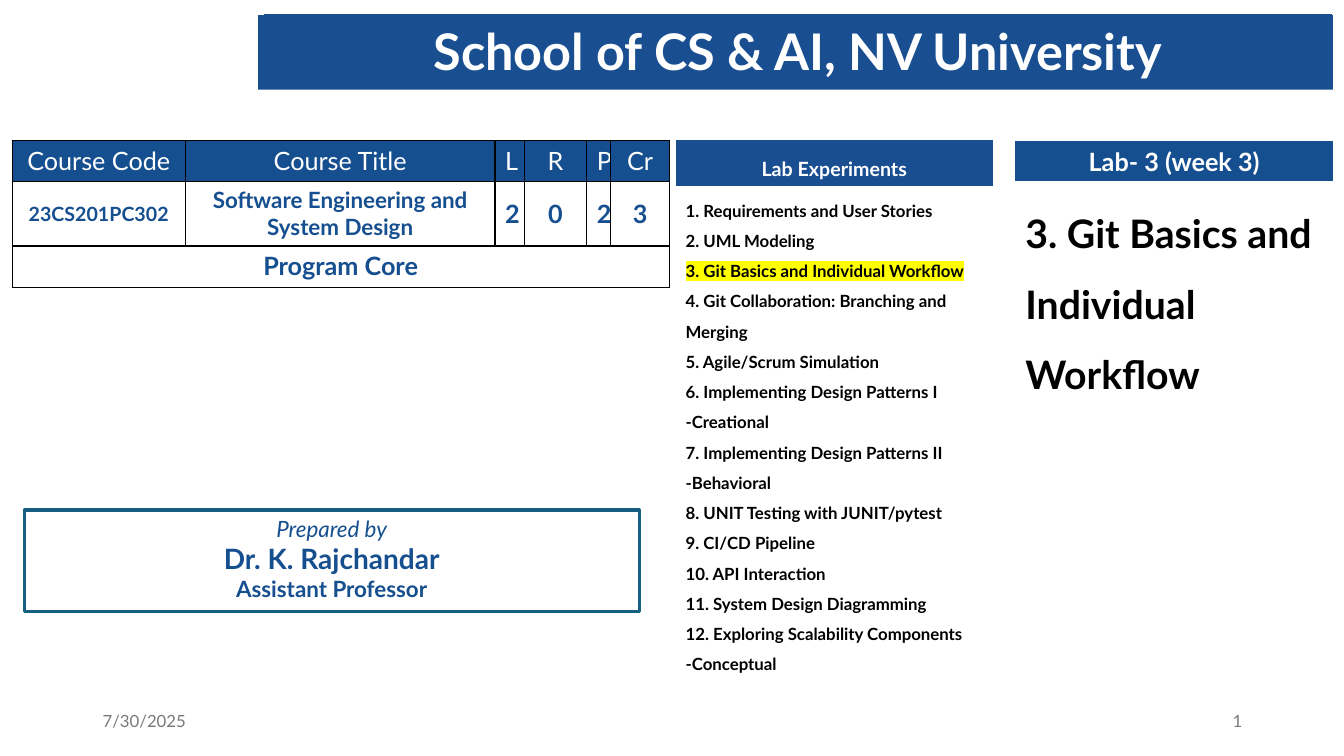
"""Build the course cover slide with its lab plan."""
from dataclasses import dataclass

from lxml.etree import SubElement
from pptx import Presentation
from pptx.dml.color import RGBColor
from pptx.enum.shapes import MSO_SHAPE
from pptx.enum.text import MSO_ANCHOR, MSO_AUTO_SIZE, PP_ALIGN
from pptx.oxml.ns import qn
from pptx.util import Emu, Pt

FONT = "Lato"
NO_STYLE = "{2D5ABB26-0587-4C30-8999-92F81FD0307C}"
COLORS = {
    "banner": "194E91",
    "blue": "164F8F",
    "teal": "156082",
    "grey": "797979",
    "white": "FFFFFF",
    "black": "000000",
    "yellow": "FFFF00",
}
CURRENT_LAB = "3. Git Basics and Individual Workflow"
LABS = [
    "1. Requirements and User Stories",
    "2. UML Modeling",
    CURRENT_LAB,
    "4. Git Collaboration: Branching and Merging",
    "5. Agile/Scrum Simulation",
    "6. Implementing Design Patterns I -Creational",
    "7. Implementing Design Patterns II -Behavioral",
    "8. UNIT Testing with JUNIT/pytest",
    "9. CI/CD Pipeline",
    "10. API Interaction",
    "11. System Design Diagramming",
    "12. Exploring Scalability Components -Conceptual",
]


@dataclass
class Cell:
    lines: list[str]
    size: int = 18
    color: str = "blue"
    bold: bool = True
    fill: str | None = "white"
    align: PP_ALIGN = PP_ALIGN.CENTER
    anchor: MSO_ANCHOR = MSO_ANCHOR.TOP
    spacing: float = 1.0


@dataclass
class Grid:
    left: int
    top: int
    cols: list[int]
    rows: list[int]
    cells: list[list[Cell]]
    bordered: bool = False


@dataclass
class Footer:
    text: str
    left: int
    align: PP_ALIGN


def head(text: str) -> Cell:
    return Cell([text], color="white", bold=False, fill="blue")


def mid(text: str, size: int = 18) -> Cell:
    return Cell([text], size, anchor=MSO_ANCHOR.MIDDLE)


def lab_list(lines: list[str], size: int) -> Cell:
    return Cell(lines, size, "black", fill=None, align=PP_ALIGN.LEFT, spacing=1.5)


GRIDS = [
    Grid(12, 139, [172, 307, 29, 62, 23, 58], [41, 64, 41], [
        [head(t) for t in ("Course Code", "Course Title", "L", "R", "P", "Cr")],
        [mid("23CS201PC302", 14), mid("Software Engineering and System Design", 16),
         *(mid(t) for t in "2023")],
        [Cell(["Program Core"])],
    ], bordered=True),
    Grid(670, 139, [315], [42, 549], [
        [Cell(["Lab Experiments"], 14, "white", fill="banner", spacing=1.5)],
        [lab_list(LABS, 12)],
    ]),
    Grid(1007, 140, [315], [37, 191, 35, 35, 35, 55, 101, 55], [
        [Cell(["Lab- 3 (week 3)"], color="white", fill="blue")],
        [lab_list([CURRENT_LAB], 28)],
    ]),
]
FOOTERS = [
    Footer("7/30/2025", 92, PP_ALIGN.LEFT),
    Footer("1", 942, PP_ALIGN.RIGHT),
]


def px(n: int) -> Emu:
    return Emu(n * 9144)


def box(*lengths: int) -> list[Emu]:
    return [px(n) for n in lengths]


def rgb(name: str) -> RGBColor:
    return RGBColor.from_string(COLORS[name])


def write(tf, text: str, *, size: int, color: str, bold: bool = False,
          italic: bool = False, align: PP_ALIGN = PP_ALIGN.CENTER,
          spacing: float = 1.0, highlight: str | None = None) -> None:
    p = tf.add_paragraph() if tf.text else tf.paragraphs[0]
    p.alignment, p.line_spacing = align, spacing
    r = p.add_run()
    r.text = text
    r.font.size, r.font.bold, r.font.italic = Pt(size), bold, italic
    r.font.color.rgb = rgb(color)
    if highlight:
        mark = SubElement(r.font._element, qn("a:highlight"))
        SubElement(mark, qn("a:srgbClr"), val=COLORS[highlight])
    r.font.name = FONT


def add_rect(s, at: list[Emu], fill: str | None = None, line: str | None = None):
    sp = s.shapes.add_shape(MSO_SHAPE.RECTANGLE, *at)
    sp.shadow.inherit = False
    if fill:
        sp.fill.solid()
        sp.fill.fore_color.rgb = rgb(fill)
    else:
        sp.fill.background()
    if line:
        sp.line.color.rgb = rgb(line)
        sp.line.width = Pt(2.25)
    else:
        sp.line.fill.background()
    return sp


def add_borders(cell) -> None:
    tc_pr = cell._tc.get_or_add_tcPr()
    for side in ("lnL", "lnR", "lnT", "lnB"):
        ln = SubElement(tc_pr, qn(f"a:{side}"), w=str(Pt(1)))
        fill = SubElement(ln, qn("a:solidFill"))
        SubElement(fill, qn("a:srgbClr"), val=COLORS["black"])


def fill_cell(cell, c: Cell) -> None:
    cell.vertical_anchor = c.anchor
    if c.fill:
        cell.fill.solid()
        cell.fill.fore_color.rgb = rgb(c.fill)
    for text in c.lines:
        marked = text == CURRENT_LAB and len(c.lines) > 1
        write(cell.text_frame, text, size=c.size, color=c.color, bold=c.bold,
              align=c.align, spacing=c.spacing, highlight="yellow" if marked else None)


def add_grid(s, g: Grid) -> None:
    at = box(g.left, g.top, sum(g.cols), sum(g.rows))
    tbl = s.shapes.add_table(len(g.rows), len(g.cols), *at).table
    tbl.first_row = tbl.horz_banding = False
    tbl._tbl.tblPr.find(qn("a:tableStyleId")).text = NO_STYLE
    for col, width in zip(tbl.columns, g.cols):
        col.width = px(width)
    for row, height in zip(tbl.rows, g.rows):
        row.height = px(height)
    if g.bordered:
        for cell in tbl.iter_cells():
            add_borders(cell)
    for i, cells in enumerate(g.cells):
        if len(cells) < len(g.cols):
            tbl.cell(i, 0).merge(tbl.cell(i, len(g.cols) - 1))
        for j, c in enumerate(cells):
            fill_cell(tbl.cell(i, j), c)


def add_title(s) -> None:
    title = s.shapes.title
    band = add_rect(s, box(256, 15, 1066, 74), fill="banner")
    title._element.addprevious(band._element)
    title.left, title.top, title.width, title.height = box(262, 14, 1059, 71)
    title.fill.solid()
    title.fill.fore_color.rgb = rgb("banner")
    tf = title.text_frame
    tf.auto_size, tf.vertical_anchor = MSO_AUTO_SIZE.NONE, MSO_ANCHOR.MIDDLE
    write(tf, "School of CS & AI, NV University", size=36, color="white", bold=True)


def add_author(s) -> None:
    tf = add_rect(s, box(24, 506, 610, 101), line="teal").text_frame
    tf.word_wrap, tf.vertical_anchor = True, MSO_ANCHOR.TOP
    write(tf, "Prepared by", size=16, color="blue", italic=True)
    write(tf, "Dr. K. Rajchandar", size=20, color="blue", bold=True)
    write(tf, "Assistant Professor", size=16, color="blue", bold=True)


def add_footer(s, f: Footer) -> None:
    tf = s.shapes.add_textbox(*box(f.left, 695, 300, 40)).text_frame
    tf.word_wrap, tf.vertical_anchor = True, MSO_ANCHOR.MIDDLE
    write(tf, f.text, size=12, color="grey", align=f.align)


def main() -> None:
    prs = Presentation()
    prs.slide_width, prs.slide_height = box(1333, 750)
    s = prs.slides.add_slide(prs.slide_layouts[5])
    add_title(s)
    add_author(s)
    for g in GRIDS:
        add_grid(s, g)
    for f in FOOTERS:
        add_footer(s, f)
    prs.save("out.pptx")


if __name__ == "__main__":
    main()
